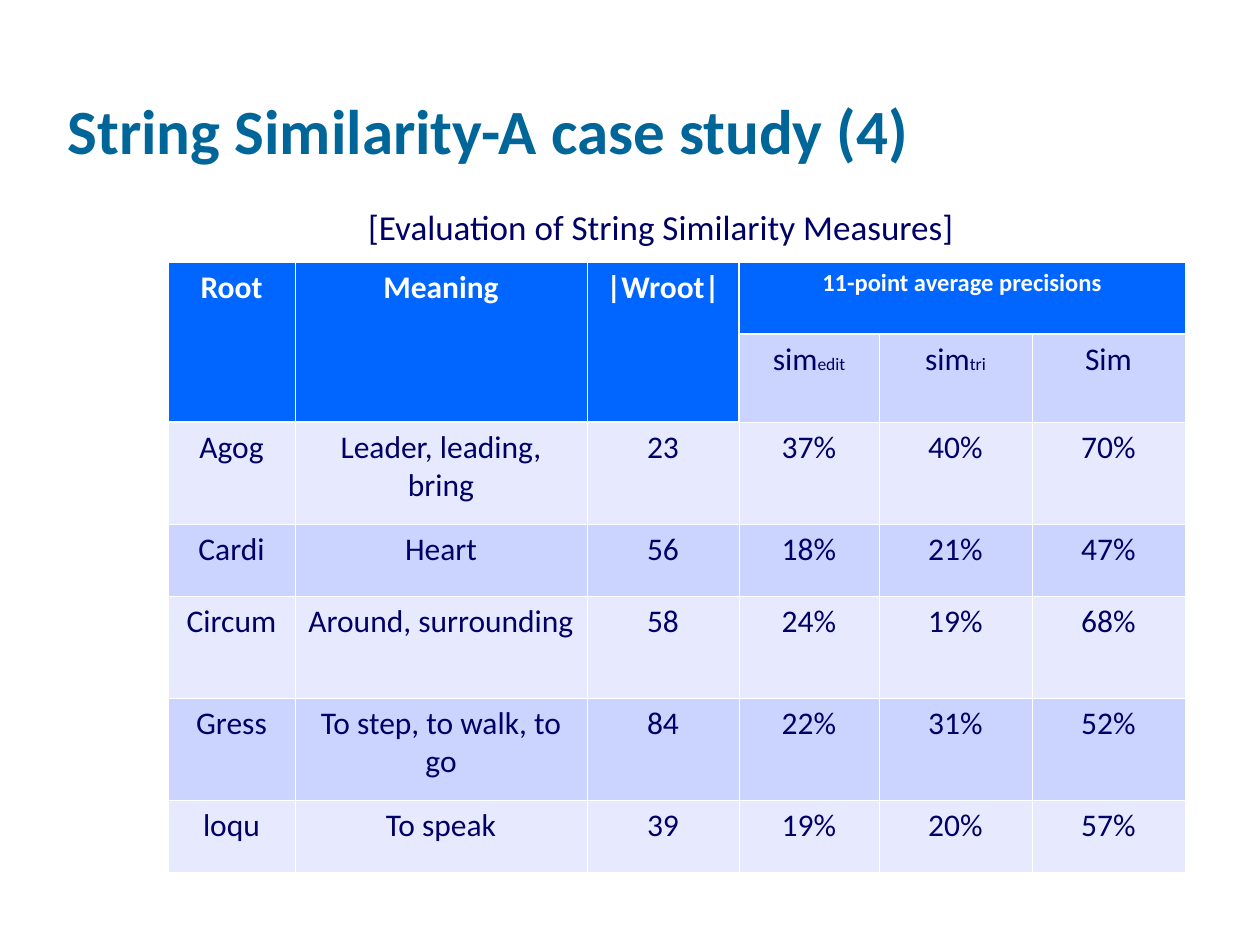
import dataclasses

import lxml.etree
import pptx
import pptx.dml.color
import pptx.enum.text
import pptx.oxml.ns
import pptx.util

SCALE = 914400 / 126
FONT = "Calibri"
WHITE, NAVY, TEAL = "FFFFFF", "000066", "006699"
BLUE, PALE, MID = "0066FF", "E7EAFF", "CBD3FF"
THIN, THICK = 0.45, 1.47
ALIGN = pptx.enum.text.PP_ALIGN
ANCHOR = pptx.enum.text.MSO_ANCHOR
SIZING = pptx.enum.text.MSO_AUTO_SIZE

LEFT, TOP = 168, 262
COLS = [127, 292, 152, 140, 153, 153]
ROWS = [72, 88, 102, 72, 102, 102, 72]
SPLIT = 3  # first column under the shared precision heading


@dataclasses.dataclass
class Run:
    text: str
    size: float = 18
    color: str = NAVY
    bold: bool = False


@dataclasses.dataclass
class Root:
    name: str
    sense: str
    count: int
    scores: tuple[int, int, int]

    def texts(self) -> list[str]:
        return [self.name, self.sense, str(self.count)] + [f"{n}%" for n in self.scores]


ROOTS = [
    Root("Agog", "Leader, leading, bring", 23, (37, 40, 70)),
    Root("Cardi", "Heart", 56, (18, 21, 47)),
    Root("Circum", "Around, surrounding", 58, (24, 19, 68)),
    Root("Gress", "To step, to walk, to go", 84, (22, 31, 52)),
    Root("loqu", "To speak", 39, (19, 20, 57)),
]
HEADS = [Run(text, 18, WHITE, True) for text in ("Root", "Meaning", "|Wroot|")]
HEADS.append(Run("11-point average precisions", 14, WHITE, True))
SIMS = [[Run("sim"), Run("edit", 10)], [Run("sim"), Run("tri", 10)], [Run("Sim")]]


def px(size: int) -> int:
    return round(size * SCALE)


def paint(color: str) -> pptx.dml.color.RGBColor:
    return pptx.dml.color.RGBColor.from_string(color)


def apply(item, values: dict) -> None:
    for name, value in values.items():
        setattr(item, name, value)


def write(frame, runs: list[Run], align=ALIGN.CENTER) -> None:
    line = frame.paragraphs[0]
    line.alignment = align
    for part in runs:
        run = line.add_run()
        run.text = part.text
        apply(run.font, {"name": FONT, "size": pptx.util.Pt(part.size), "bold": part.bold})
        run.font.color.rgb = paint(part.color)


def heavy(row: int, col: int) -> str:
    """Name the sides of a cell where the heading meets the body."""
    if row == 0:
        return "BR" if col == SPLIT - 1 else "B"
    if row == 1:
        return "TL" if col == SPLIT else "T" if col > SPLIT else "B"
    return "T" if row == 2 and col < SPLIT else ""


def border(cell, thick: str) -> None:
    props = cell._tc.get_or_add_tcPr()
    tag = pptx.oxml.ns.qn
    for side in "LRTB":
        width = pptx.util.Pt(THICK if side in thick else THIN)
        line = lxml.etree.SubElement(props, tag(f"a:ln{side}"), w=str(width))
        fill = lxml.etree.SubElement(line, tag("a:solidFill"))
        lxml.etree.SubElement(fill, tag("a:srgbClr"), val=WHITE)


def shade(row: int, col: int) -> str:
    if row == 0 or (row == 1 and col < SPLIT):
        return BLUE
    return MID if row % 2 else PALE


def add_title(slide) -> None:
    title = slide.shapes.title
    apply(title, {"left": px(55), "top": px(15), "width": px(1071), "height": px(158)})
    apply(title.text_frame, {"vertical_anchor": ANCHOR.BOTTOM, "auto_size": SIZING.NONE})
    write(title.text_frame, [Run("String Similarity-A case study (4)", 36, TEAL, True)], ALIGN.LEFT)


def add_label(slide) -> None:
    frame = slide.shapes.add_textbox(px(346), px(199), px(630), px(97)).text_frame
    apply(frame, {"word_wrap": True, "auto_size": SIZING.SHAPE_TO_FIT_TEXT})
    write(frame, [Run("[Evaluation of String Similarity Measures]", 20)])


def add_grid(slide) -> None:
    shape = slide.shapes.add_table(
        len(ROWS), len(COLS), px(LEFT), px(TOP), px(sum(COLS)), px(sum(ROWS)))
    table = shape.table
    apply(table, {"first_row": False, "horz_banding": False})
    for col, width in zip(table.columns, COLS):
        col.width = px(width)
    for row, height in zip(table.rows, ROWS):
        row.height = px(height)

    for r in range(len(ROWS)):
        for c in range(len(COLS)):
            cell = table.cell(r, c)
            border(cell, heavy(r, c))
            cell.fill.solid()
            cell.fill.fore_color.rgb = paint(shade(r, c))

    for c in range(SPLIT):
        table.cell(0, c).merge(table.cell(1, c))
    table.cell(0, SPLIT).merge(table.cell(0, len(COLS) - 1))

    for c, head in enumerate(HEADS):
        write(table.cell(0, c).text_frame, [head])
    for c, runs in enumerate(SIMS, SPLIT):
        write(table.cell(1, c).text_frame, runs)
    for r, root in enumerate(ROOTS, 2):
        for c, text in enumerate(root.texts()):
            write(table.cell(r, c).text_frame, [Run(text)])


def main() -> None:
    deck = pptx.Presentation()
    apply(deck, {"slide_width": px(1260), "slide_height": px(945)})
    slide = deck.slides.add_slide(deck.slide_layouts[5])
    add_title(slide)
    add_label(slide)
    add_grid(slide)
    deck.save("out.pptx")


if __name__ == "__main__":
    main()
